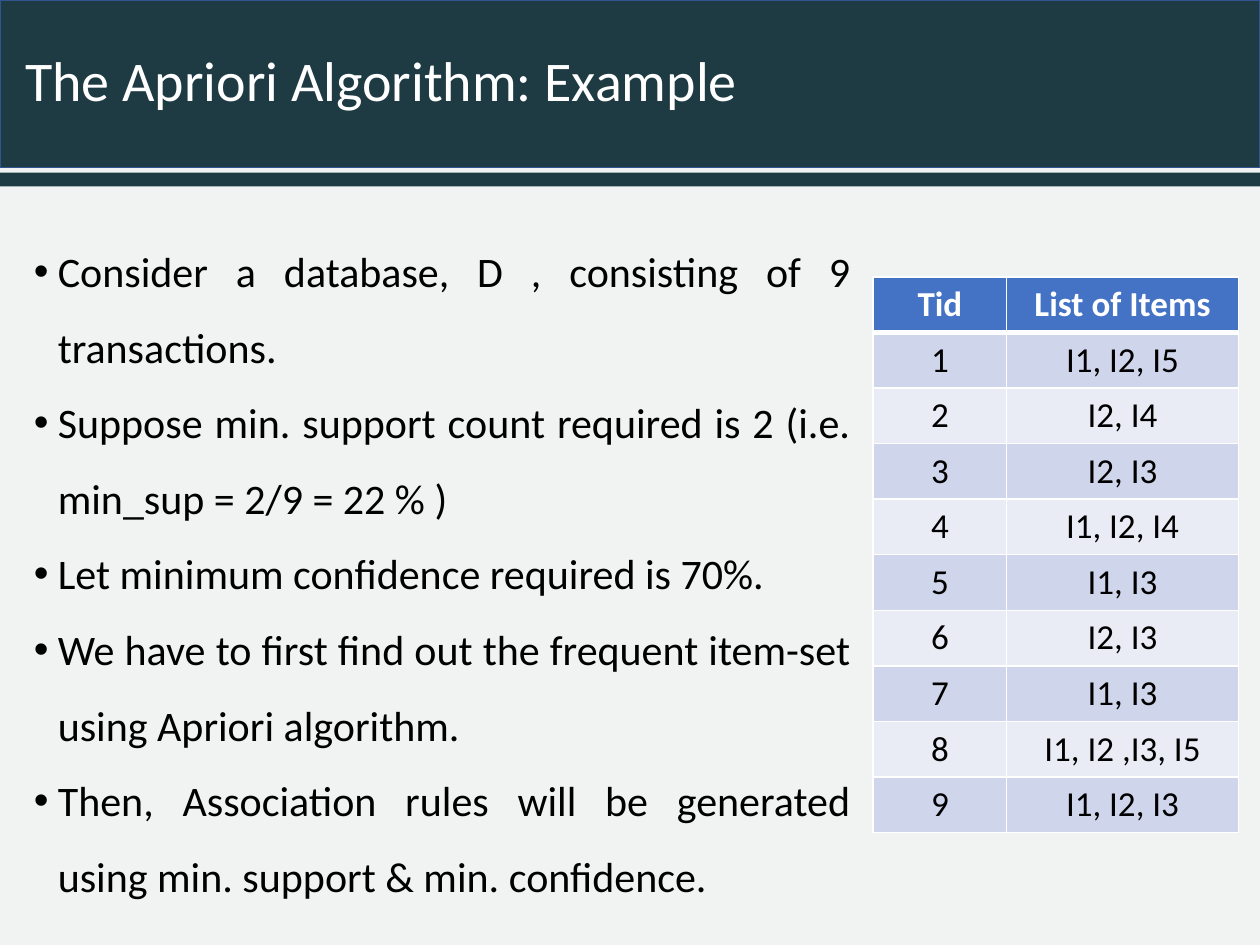
from lxml import etree
from pptx import Presentation
from pptx import util as u
from pptx.dml import color
from pptx.enum import shapes, text
from pptx.oxml import ns

Inches = u.Inches
COLORS = {
    "page": "F1F3F3", "band": "1E3A42", "outline": "325491",
    "header": "4472C4", "odd": "CFD5EA", "even": "E9EBF5",
    "white": "FFFFFF", "black": "000000",
}
TRANSACTIONS = [
    "I1, I2, I5", "I2, I4", "I2, I3", "I1, I2, I4", "I1, I3",
    "I2, I3", "I1, I3", "I1, I2 ,I3, I5", "I1, I2, I3",
]
POINTS = [
    "Consider a database, D , consisting of 9 transactions.",
    "Suppose min. support count required is 2 (i.e. min_sup = 2/9 = 22 % )",
    "Let minimum confidence required is 70%.",
    "We have to first find out the frequent item-set using Apriori algorithm.",
    "Then, Association rules will be generated using min. support & min. confidence.",
]


def rgb(name):
    return color.RGBColor.from_string(COLORS[name])


def style(paragraph, ink, paragraph_format, font_format):
    for target, values in ((paragraph, paragraph_format), (paragraph.font, font_format)):
        for name, value in values.items():
            setattr(target, name, value)
    paragraph.font.name = "Calibri"
    paragraph.font.color.rgb = rgb(ink)


presentation = Presentation()
presentation.slide_width, presentation.slide_height = Inches(10), Inches(7.5)
slide = presentation.slides.add_slide(presentation.slide_layouts[5])
slide.background.fill.solid()
slide.background.fill.fore_color.rgb = rgb("page")

for top, height, outline in ((0, 1.33, "outline"), (1.37, 0.11, None)):
    band = slide.shapes.add_shape(
        shapes.MSO_SHAPE.RECTANGLE, 0, Inches(top), Inches(10), Inches(height))
    band.shadow.inherit = False
    band.fill.solid()
    band.fill.fore_color.rgb = rgb("band")
    if outline:
        band.line.color.rgb = rgb(outline)
        band.line.width = u.Pt(1)
    else:
        band.line.fill.background()

title = slide.shapes.title
slide.shapes._spTree.append(title._element)
title.left, title.top, title.width, title.height = (
    Inches(0.1), Inches(0), Inches(9.9), Inches(1.33))
title.text_frame.text = "The Apriori Algorithm: Example"
title.text_frame.auto_size = text.MSO_AUTO_SIZE.NONE
title.text_frame.vertical_anchor = text.MSO_ANCHOR.MIDDLE
style(title.text_frame.paragraphs[0], "white",
      {"alignment": text.PP_ALIGN.LEFT, "line_spacing": 0.9}, {"size": u.Pt(32)})

rows = [("Tid", "List of Items")]
rows += [(str(tid), items) for tid, items in enumerate(TRANSACTIONS, 1)]
table = slide.shapes.add_table(
    len(rows), 2, Inches(6.93), Inches(2.2), Inches(2.9), Inches(4.33)).table
for column, width in zip(table.columns, (1.06, 1.84)):
    column.width = Inches(width)
for row_index, row in enumerate(rows):
    is_header = row_index == 0
    fill = "header" if is_header else ("even", "odd")[row_index % 2]
    for column_index, value in enumerate(row):
        cell = table.cell(row_index, column_index)
        cell.text = value
        cell.vertical_anchor = text.MSO_ANCHOR.MIDDLE
        properties = cell._tc.get_or_add_tcPr()
        for side in "LRTB":
            thick = (is_header and side == "B") or (row_index == 1 and side == "T")
            border = etree.SubElement(
                properties, ns.qn(f"a:ln{side}"), w=str(u.Pt(3 if thick else 1)))
            border_fill = etree.SubElement(border, ns.qn("a:solidFill"))
            etree.SubElement(border_fill, ns.qn("a:srgbClr"), val=COLORS["white"])
        cell.fill.solid()
        cell.fill.fore_color.rgb = rgb(fill)
        style(cell.text_frame.paragraphs[0], "white" if is_header else "black",
              {"alignment": text.PP_ALIGN.CENTER},
              {"size": u.Pt(20), "bold": is_header})

body = slide.shapes.add_textbox(Inches(0.17), Inches(1.7), Inches(6.68), Inches(5.47))
frame = body.text_frame
frame.word_wrap = True
frame.auto_size = text.MSO_AUTO_SIZE.SHAPE_TO_FIT_TEXT
for index, point in enumerate(POINTS):
    paragraph = frame.add_paragraph() if index else frame.paragraphs[0]
    paragraph.text = point
    properties = paragraph._p.get_or_add_pPr()
    properties.set("marL", str(Inches(0.19)))
    properties.set("indent", str(Inches(-0.19)))
    etree.SubElement(properties, ns.qn("a:buFont"), typeface="Arial")
    etree.SubElement(properties, ns.qn("a:buChar"), char="•")
    style(paragraph, "black",
          {"alignment": text.PP_ALIGN.JUSTIFY, "line_spacing": 1.5},
          {"size": u.Pt(24)})

presentation.save("out.pptx")
